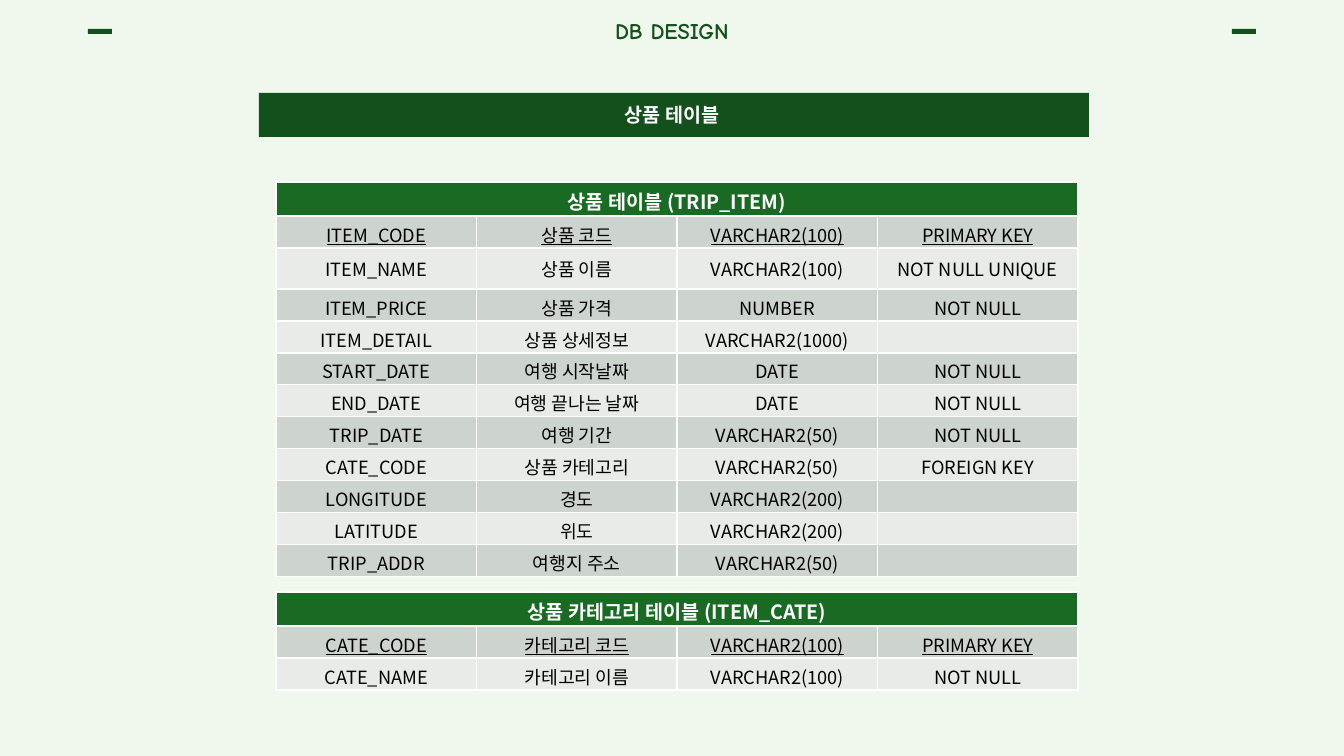
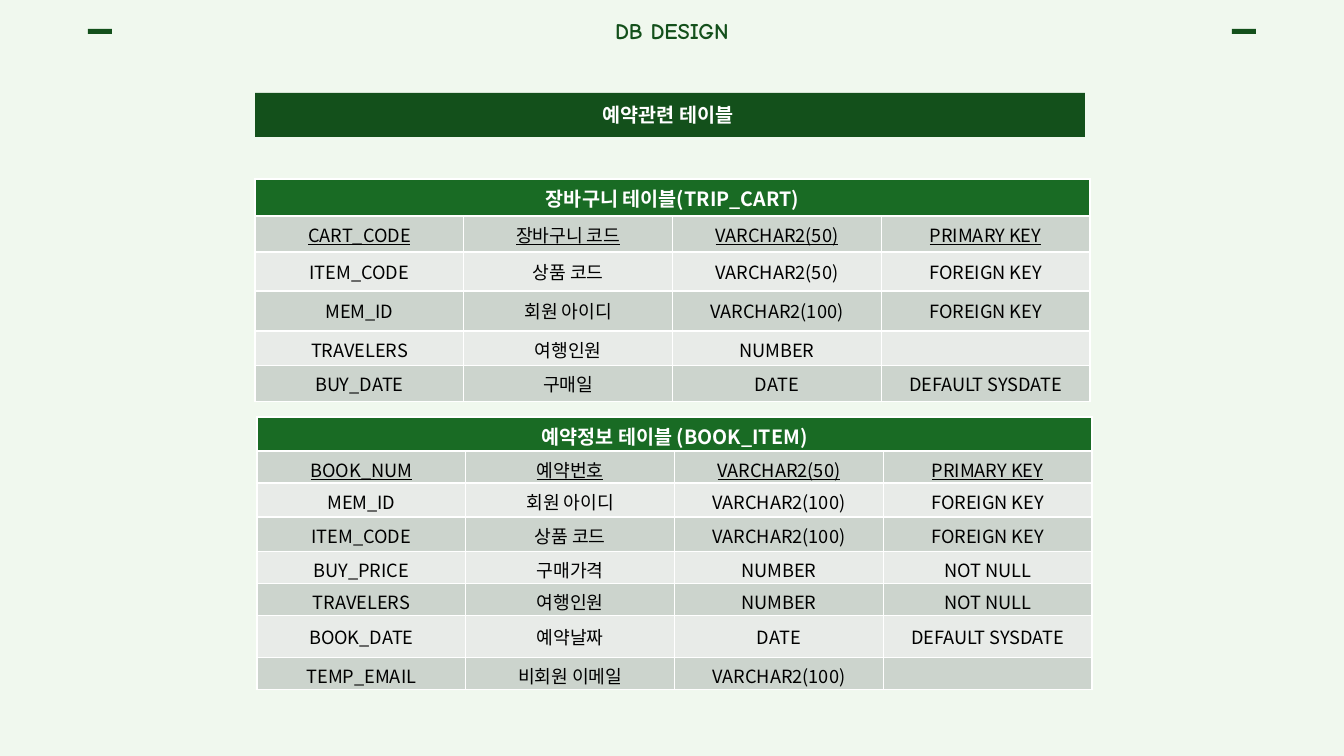
import lxml.etree
import pptx
import pptx.dml.color
import pptx.enum.shapes
import pptx.enum.text
import pptx.oxml.ns
import pptx.util

RGBColor = pptx.dml.color.RGBColor
PALE_GREEN = RGBColor(0xF0, 0xF8, 0xEE)
DARK_GREEN = RGBColor(0x13, 0x50, 0x1B)
HEADER_GREEN = RGBColor(0x19, 0x6B, 0x24)
BANDS = (RGBColor(0xCC, 0xD4, 0xCD), RGBColor(0xE8, 0xEB, 0xE8))
WHITE = RGBColor(0xFF, 0xFF, 0xFF)
BLACK = RGBColor(0x00, 0x00, 0x00)

BODY_FONT = "Noto Sans CJK KR"
TITLE_FONT = "Comic Neue"
PX_PER_INCH = 100.8
LINE_HEIGHT = 1.45  # of the body font, relative to its size
CELL_MARGIN = 5

TITLE = "DB DESIGN"
SLIDES = [
    {
        "heading": "상품 테이블", "bar_left": 259,
        "tables": [
            {
                "title": "상품 테이블 (TRIP_ITEM)",
                "left": 276, "top": 182, "width": 802,
                "heights": [34, 32, 41] + [32] * 9,
                "rows": [
                    ("ITEM_CODE", "상품 코드", "VARCHAR2(100)", "PRIMARY KEY"),
                    ("ITEM_NAME", "상품 이름", "VARCHAR2(100)", "NOT NULL UNIQUE"),
                    ("ITEM_PRICE", "상품 가격", "NUMBER", "NOT NULL"),
                    ("ITEM_DETAIL", "상품 상세정보", "VARCHAR2(1000)", ""),
                    ("START_DATE", "여행 시작날짜", "DATE", "NOT NULL"),
                    ("END_DATE", "여행 끝나는 날짜", "DATE", "NOT NULL"),
                    ("TRIP_DATE", "여행 기간", "VARCHAR2(50)", "NOT NULL"),
                    ("CATE_CODE", "상품 카테고리", "VARCHAR2(50)", "FOREIGN KEY"),
                    ("LONGITUDE", "경도", "VARCHAR2(200)", ""),
                    ("LATITUDE", "위도", "VARCHAR2(200)", ""),
                    ("TRIP_ADDR", "여행지 주소", "VARCHAR2(50)", ""),
                ],
            },
            {
                "title": "상품 카테고리 테이블 (ITEM_CATE)",
                "left": 276, "top": 592, "width": 802,
                "heights": [34, 32, 32],
                "rows": [
                    ("CATE_CODE", "카테고리 코드", "VARCHAR2(100)", "PRIMARY KEY"),
                    ("CATE_NAME", "카테고리 이름", "VARCHAR2(100)", "NOT NULL"),
                ],
            },
        ],
    },
    {
        "heading": "예약관련 테이블", "bar_left": 255,
        "tables": [
            {
                "title": "장바구니 테이블(TRIP_CART)",
                "left": 255, "top": 179, "width": 835,
                "heights": [37, 36, 39, 40, 35, 36],
                "rows": [
                    ("CART_CODE", "장바구니 코드", "VARCHAR2(50)", "PRIMARY KEY"),
                    ("ITEM_CODE", "상품 코드", "VARCHAR2(50)", "FOREIGN KEY"),
                    ("MEM_ID", "회원 아이디", "VARCHAR2(100)", "FOREIGN KEY"),
                    ("TRAVELERS", "여행인원", "NUMBER", ""),
                    ("BUY_DATE", "구매일", "DATE", "DEFAULT SYSDATE"),
                ],
            },
            {
                "title": "예약정보 테이블 (BOOK_ITEM)",
                "left": 257, "top": 417, "width": 835,
                "heights": [34, 32, 34, 35, 32, 32, 42, 32],
                "rows": [
                    ("BOOK_NUM", "예약번호", "VARCHAR2(50)", "PRIMARY KEY"),
                    ("MEM_ID", "회원 아이디", "VARCHAR2(100)", "FOREIGN KEY"),
                    ("ITEM_CODE", "상품 코드", "VARCHAR2(100)", "FOREIGN KEY"),
                    ("BUY_PRICE", "구매가격", "NUMBER", "NOT NULL"),
                    ("TRAVELERS", "여행인원", "NUMBER", "NOT NULL"),
                    ("BOOK_DATE", "예약날짜", "DATE", "DEFAULT SYSDATE"),
                    ("TEMP_EMAIL", "비회원 이메일", "VARCHAR2(100)", ""),
                ],
            },
        ],
    },
]


def px(length):
    return pptx.util.Emu(round(length * 914400 / PX_PER_INCH))


def set_text(frame, text, size, color, font=BODY_FONT, bold=False, underline=False):
    """Write one centred line, with the font set for Latin and Korean letters."""
    frame.text = text
    para = frame.paragraphs[0]
    para.alignment = pptx.enum.text.PP_ALIGN.CENTER
    for span in para.runs:
        span.font.name = font
        span.font.size = pptx.util.Pt(size)
        span.font.bold = bold
        span.font.underline = underline
        span.font.color.rgb = color
        east_asian = lxml.etree.Element(pptx.oxml.ns.qn("a:ea"), typeface=font)
        span.font._rPr.find(pptx.oxml.ns.qn("a:latin")).addnext(east_asian)
    if not text:  # an empty cell must not be taller than its row
        lxml.etree.SubElement(
            para._p, pptx.oxml.ns.qn("a:endParaRPr"), sz=str(size * 100))


def add_bar(page, left, top, width, height):
    bar = page.shapes.add_shape(
        pptx.enum.shapes.MSO_SHAPE.RECTANGLE,
        px(left), px(top), px(width), px(height))
    bar.shadow.inherit = False
    bar.fill.solid()
    bar.fill.fore_color.rgb = DARK_GREEN
    bar.line.fill.background()


def add_label(page, left, top, width, height, text, size, color, font=BODY_FONT):
    box = page.shapes.add_textbox(px(left), px(top), px(width), px(height))
    box.text_frame.word_wrap = True
    box.text_frame.vertical_anchor = pptx.enum.text.MSO_ANCHOR.MIDDLE
    set_text(box.text_frame, text, size, color, font, bold=True)


def fill_cell(cell, text, height, size, fill, color, **style):
    """Style a cell; a tight row gives up its bottom margin first."""
    spare = height - CELL_MARGIN - size * LINE_HEIGHT * PX_PER_INCH / 72
    cell.margin_top = px(CELL_MARGIN)
    cell.margin_bottom = px(max(0, min(CELL_MARGIN, spare)))
    cell.vertical_anchor = pptx.enum.text.MSO_ANCHOR.MIDDLE
    cell.fill.solid()
    cell.fill.fore_color.rgb = fill
    set_text(cell.text_frame, text, size, color, **style)


def add_schema_table(page, schema):
    heights, rows = schema["heights"], schema["rows"]
    columns = len(rows[0])
    table = page.shapes.add_table(
        len(heights), columns, px(schema["left"]), px(schema["top"]),
        px(schema["width"]), px(sum(heights))).table
    for column in table.columns:
        column.width = px(schema["width"] / columns)
    for row, height in zip(table.rows, heights):
        row.height = px(height)

    header = table.cell(0, 0)
    header.merge(table.cell(0, columns - 1))
    fill_cell(header, schema["title"], heights[0], 14, HEADER_GREEN, WHITE, bold=True)
    for r, values in enumerate(rows, start=1):
        for c, value in enumerate(values):
            fill_cell(table.cell(r, c), value, heights[r], 13,
                      BANDS[(r - 1) % 2], BLACK, underline=r == 1)


def add_page(deck, content):
    page = deck.slides.add_slide(deck.slide_layouts[6])
    page.background.fill.solid()
    page.background.fill.fore_color.rgb = PALE_GREEN
    bar_left = content["bar_left"]
    add_bar(page, bar_left, 93, 830, 44)
    add_label(page, bar_left + 292, 98, 242, 34, content["heading"], 14, WHITE)
    for schema in content["tables"]:
        add_schema_table(page, schema)
    add_label(page, 551, 12, 242, 38, TITLE, 16, DARK_GREEN, TITLE_FONT)
    for dash_left in (88, 1232):
        add_bar(page, dash_left, 29, 24, 5)


def main():
    deck = pptx.Presentation()
    deck.slide_width, deck.slide_height = px(1344), px(756)
    for content in SLIDES:
        add_page(deck, content)
    deck.save("out.pptx")


if __name__ == "__main__":
    main()
